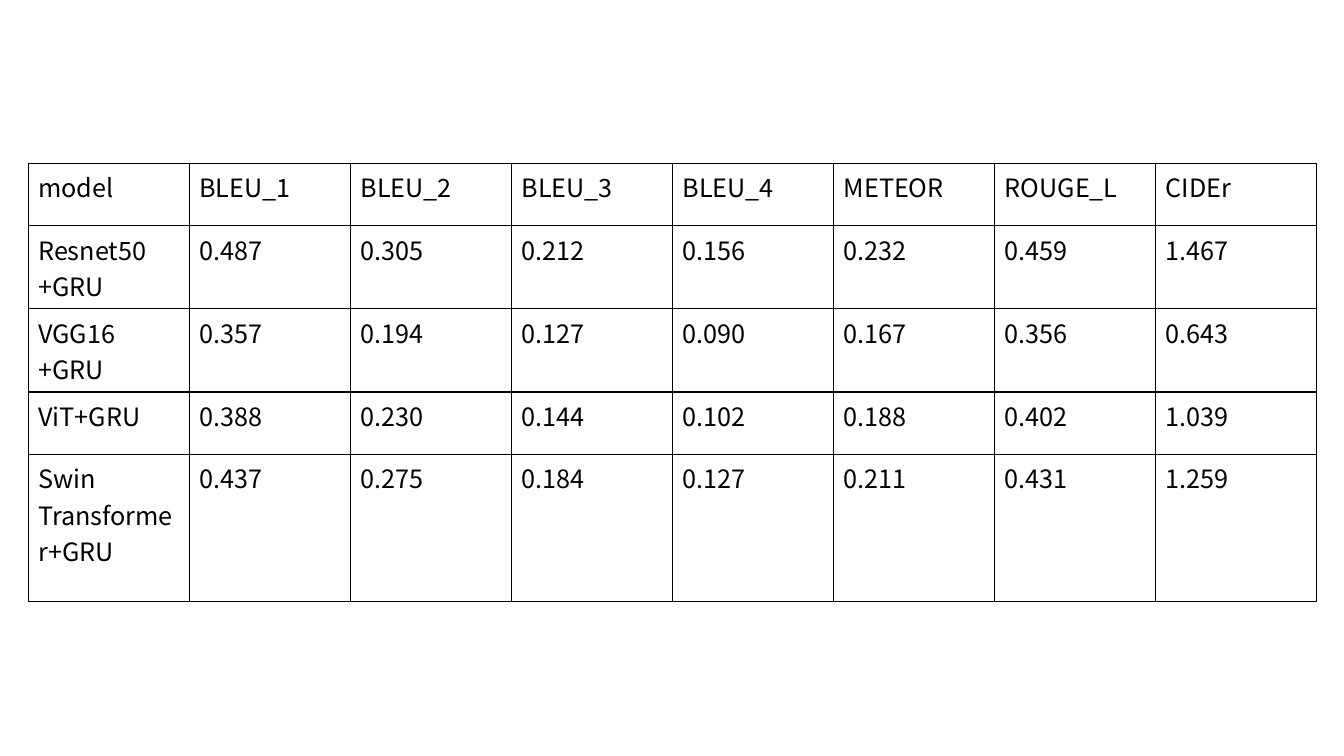
from dataclasses import dataclass

from lxml import etree
from pptx import Presentation
from pptx.dml.color import RGBColor
from pptx.enum.text import MSO_ANCHOR, PP_ALIGN
from pptx.oxml.ns import qn
from pptx.slide import Slide
from pptx.table import _Cell
from pptx.util import Inches, Pt

TOP = MSO_ANCHOR.TOP
LEFT = PP_ALIGN.LEFT
WIDE = Inches(13.33)
HIGH = Inches(7.5)
COL = WIDE / 100
ROW = HIGH / 100


@dataclass(frozen=True)
class Theme:
    font: str = "Noto Sans CJK KR"
    size: int = 18
    ink: str = "000000"
    rule: int = 1


@dataclass(frozen=True)
class Score:
    model: str
    values: tuple[str, ...]
    rows: float


@dataclass(frozen=True)
class Grid:
    left: float
    top: float
    width: float
    scores: tuple[Score, ...]


THEME = Theme()
GRID = Grid(2.1, 21.6, 95.9, (
    Score("model", ("BLEU_1", "BLEU_2", "BLEU_3", "BLEU_4", "METEOR", "ROUGE_L", "CIDEr"), 8.27),
    Score("Resnet50\n+GRU", ("0.487", "0.305", "0.212", "0.156", "0.232", "0.459", "1.467"), 10.53),
    Score("VGG16\n+GRU", ("0.357", "0.194", "0.127", "0.090", "0.167", "0.356", "0.643"), 10.53),
    Score("ViT+GRU", ("0.388", "0.230", "0.144", "0.102", "0.188", "0.402", "1.039"), 8.27),
    Score("Swin Transformer+GRU", ("0.437", "0.275", "0.184", "0.127", "0.211", "0.431", "1.259"), 19.47),
))


def rule_cell(cell: _Cell) -> None:
    props = cell._tc.get_or_add_tcPr()
    for side in ("a:lnL", "a:lnR", "a:lnT", "a:lnB"):
        line = etree.SubElement(props, qn(side), w=str(Pt(THEME.rule)))
        fill = etree.SubElement(line, qn("a:solidFill"))
        etree.SubElement(fill, qn("a:srgbClr"), val=THEME.ink)


def fill_cell(cell: _Cell, text: str) -> None:
    cell.text_frame.text = text
    cell.vertical_anchor = TOP
    for para in cell.text_frame.paragraphs:
        para.alignment = LEFT
        for run in para.runs:
            run.font.name = THEME.font
            run.font.size = Pt(THEME.size)
            run.font.bold = False
            run.font.color.rgb = RGBColor.from_string(THEME.ink)
    rule_cell(cell)
    cell.fill.background()


def draw_grid(slide: Slide, grid: Grid) -> None:
    count = len(grid.scores[0].values) + 1
    tall = sum(score.rows for score in grid.scores)
    frame = slide.shapes.add_table(
        len(grid.scores), count,
        int(grid.left * COL), int(grid.top * ROW),
        int(grid.width * COL), int(tall * ROW),
    )
    table = frame.table
    table.first_row = False
    table.horz_banding = False
    for row, score in zip(table.rows, grid.scores):
        row.height = int(score.rows * ROW)
        for cell, text in zip(row.cells, (score.model, *score.values)):
            fill_cell(cell, text)


def main() -> None:
    deck = Presentation()
    deck.slide_width = WIDE
    deck.slide_height = HIGH
    slide = deck.slides.add_slide(deck.slide_layouts[6])
    draw_grid(slide, GRID)
    deck.save("out.pptx")


if __name__ == "__main__":
    main()
